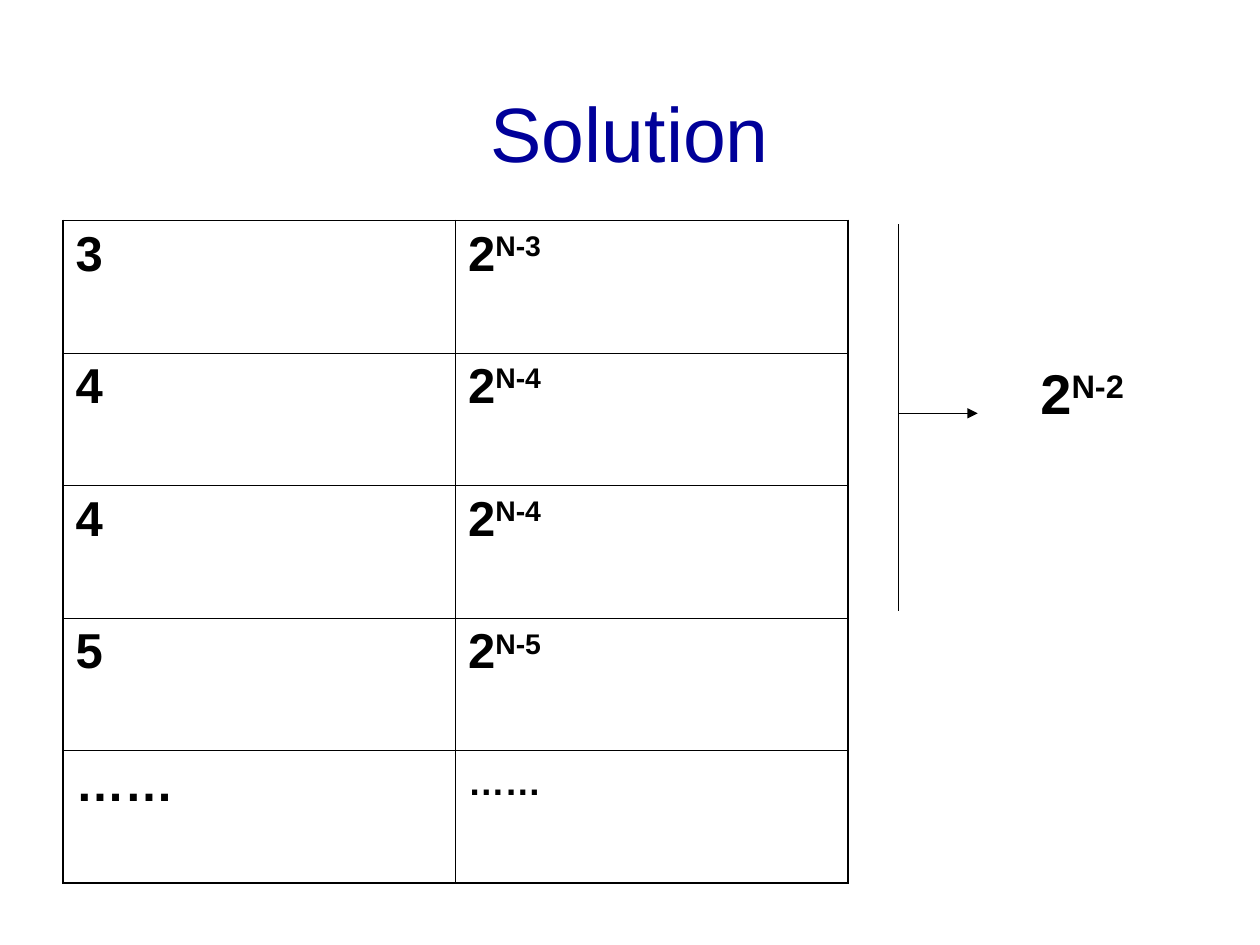
import pptx
import pptx.util
import pptx.dml.color
import pptx.enum.shapes
import pptx.enum.text
import pptx.oxml
import pptx.oxml.ns
from dataclasses import dataclass

Inches = pptx.util.Inches
Pt = pptx.util.Pt
Align = pptx.enum.text.PP_ALIGN
Anchor = pptx.enum.text.MSO_ANCHOR


@dataclass(frozen=True)
class Theme:
    font: str = "Arial"
    blue: str = "000099"
    black: str = "000000"
    title: int = 44
    label: int = 32
    body: int = 28
    dots: int = 36
    thick: float = 1.08
    thin: float = 0.45
    line: float = 0.75


THEME = Theme()
ROWS = [("3", "N-3"), ("4", "N-4"), ("4", "N-4"), ("5", "N-5")]


def rgb(color):
    return pptx.dml.color.RGBColor.from_string(color)


def add_xml(parent, tag, body="", **attrs):
    """Append one DrawingML element."""
    text = "".join(f' {key}="{val}"' for key, val in attrs.items())
    space = pptx.oxml.ns.nsdecls("a")
    parent.append(pptx.oxml.parse_xml(f"<a:{tag} {space}{text}>{body}</a:{tag}>"))


def write(frame, text, power="", size=THEME.body, color=THEME.black,
          bold=True, align=Align.LEFT, before=7):
    """Write text, followed by an optional raised part."""
    para = frame.paragraphs[0]
    para.alignment = align
    para.space_before = Pt(before)
    for part, raised in ((text, False), (power, True)):
        if not part:
            continue
        run = para.add_run()
        run.text = part
        font = run.font
        font.name, font.size, font.bold = THEME.font, Pt(size), bold
        font.color.rgb = rgb(color)
        if raised:
            run._r.get_or_add_rPr().set("baseline", "30000")


def add_box(slide, left, top, width, height, text, wrap=True,
            anchor=Anchor.TOP, **style):
    box = slide.shapes.add_textbox(
        Inches(left), Inches(top), Inches(width), Inches(height))
    frame = box.text_frame
    frame.word_wrap = wrap
    frame.vertical_anchor = anchor
    write(frame, text, **style)


def add_line(slide, start, end, arrow=False):
    kind = pptx.enum.shapes.MSO_CONNECTOR.STRAIGHT
    line = slide.shapes.add_connector(kind, *map(Inches, start + end))
    line.line.color.rgb = rgb(THEME.black)
    line.line.width = Pt(THEME.line)
    if arrow:
        add_xml(line.line._get_or_add_ln(), "tailEnd", type="triangle")
    add_xml(line._element.spPr, "effectLst")


def set_edges(cell, outer):
    """Draw outer edges thick and inner edges thin."""
    props = cell._tc.get_or_add_tcPr()
    fill = f'<a:solidFill><a:srgbClr val="{THEME.black}"/></a:solidFill>'
    for side in "LRTB":
        width = THEME.thick if side in outer else THEME.thin
        add_xml(props, "ln" + side, fill, w=int(Pt(width)))
    cell.fill.background()


def add_grid(slide):
    count = len(ROWS) + 1
    shape = slide.shapes.add_table(
        count, 2, Inches(0.5), Inches(1.75), Inches(6.23), Inches(5.26))
    table = shape.table
    table.first_row = table.horz_banding = False
    for row in range(count):
        for col in range(2):
            outer = "LR"[col]
            outer += "T" if row == 0 else "B" if row == count - 1 else ""
            set_edges(table.cell(row, col), outer)

    # Values and their powers of two
    for row, (value, power) in enumerate(ROWS):
        write(table.cell(row, 0).text_frame, value)
        write(table.cell(row, 1).text_frame, "2", power=power)

    # Closing row of dots
    write(table.cell(count - 1, 0).text_frame, "……")
    write(table.cell(count - 1, 1).text_frame, "", power="……",
          size=THEME.dots, before=9)


def main():
    deck = pptx.Presentation()
    deck.slide_width, deck.slide_height = Inches(10), Inches(7.5)
    slide = deck.slides.add_slide(deck.slide_layouts[6])

    # Title and table
    add_box(slide, 0.33, 0.42, 9.34, 1.25, "Solution", anchor=Anchor.MIDDLE,
            size=THEME.title, color=THEME.blue, bold=False,
            align=Align.CENTER, before=0)
    add_grid(slide)

    # Bracket pointing to the sum
    add_line(slide, (7.13, 1.78), (7.13, 4.85))
    add_line(slide, (7.13, 3.28), (7.76, 3.28), arrow=True)
    add_box(slide, 8.16, 2.8, 0.86, 0.64, "2", power="N-2", wrap=False,
            size=THEME.label, before=8)

    deck.save("out.pptx")


if __name__ == "__main__":
    main()
